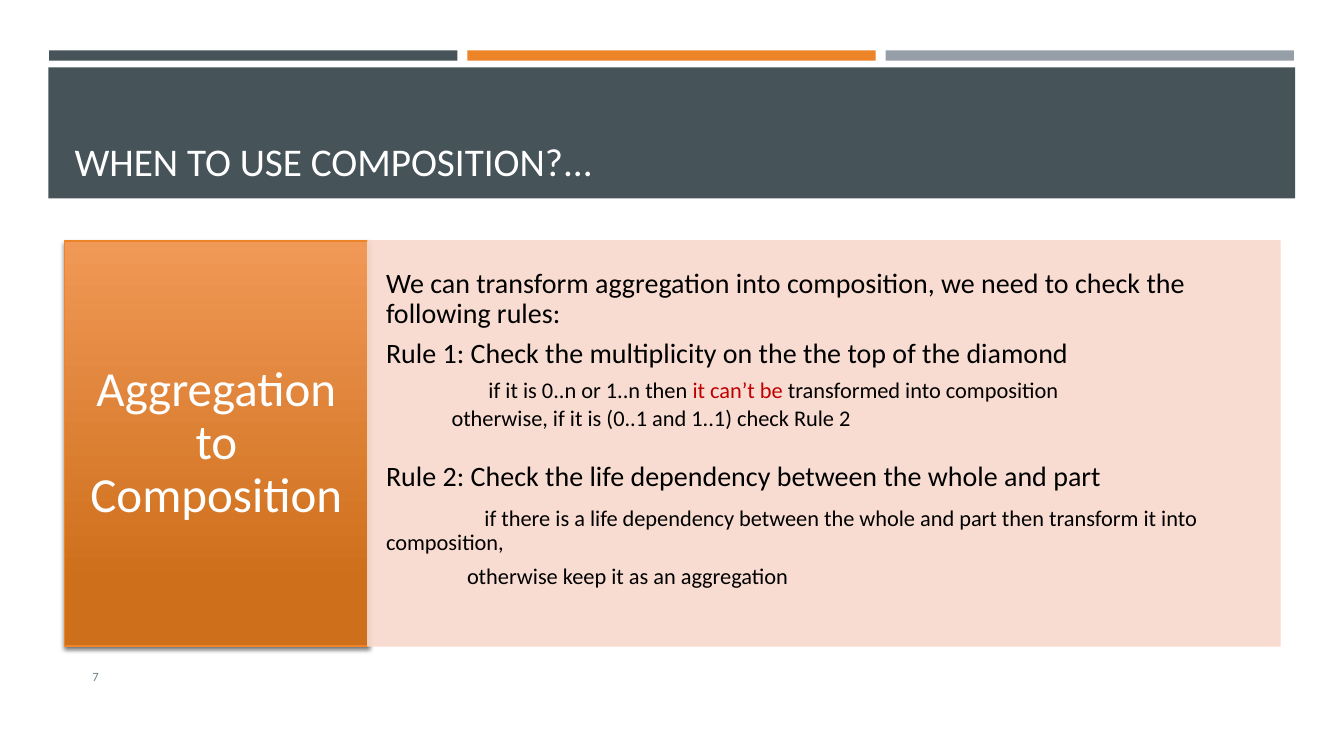
import pptx
import pptx.util
import pptx.dml.color
import pptx.enum.shapes
import pptx.enum.text
import pptx.oxml
import pptx.oxml.ns
import lxml.etree

Cm = pptx.util.Cm
Pt = pptx.util.Pt
ANCHOR = pptx.enum.text.MSO_ANCHOR
ALIGN = pptx.enum.text.PP_ALIGN
COLORS = {
    "slate": "465359", "orange": "ED8428", "gray": "969FA7",
    "light_orange": "F09856", "dark_orange": "CE6F1B", "peach": "F8D9CD",
    "number": "6D818A", "red": "C00000", "white": "FFFFFF", "black": "000000",
}


def color(name):
    return pptx.dml.color.RGBColor.from_string(COLORS[name])


def add_panel(left, top, width, height, fill, margins=(0.25, 0.13, 0.25, 0.13), anchor=ANCHOR.MIDDLE):
    panel = slide.shapes.add_shape(
        pptx.enum.shapes.MSO_SHAPE.RECTANGLE, Cm(left), Cm(top), Cm(width), Cm(height))
    panel.shadow.inherit = False
    panel.fill.solid()
    panel.fill.fore_color.rgb = color(fill)
    panel.line.fill.background()
    frame = panel.text_frame
    frame.word_wrap = True
    frame.vertical_anchor = anchor
    frame.margin_left, frame.margin_top, frame.margin_right, frame.margin_bottom = map(Cm, margins)
    return panel


def write(paragraph, pieces, size, align=ALIGN.LEFT):
    paragraph.alignment = align
    for words, ink in pieces:
        run = paragraph.add_run()
        run.text = words
        run.font.name = "Calibri"
        run.font.size = Pt(size)
        run.font.color.rgb = color(ink)


deck = pptx.Presentation()
deck.slide_width = Cm(33.87)
deck.slide_height = Cm(19.05)
slide = deck.slides.add_slide(deck.slide_layouts[6])

for column, accent in enumerate(("slate", "orange", "gray")):
    add_panel(1.24 + 10.54 * column, 1.27, 10.29, 0.26, accent)

title = add_panel(1.22, 1.7, 31.42, 3.3, "slate", (0.66, 0.13, 0.66, 0.36), ANCHOR.BOTTOM)
write(title.text_frame.paragraphs[0], [("WHEN TO USE COMPOSITION?...", "white")], 28)

number = slide.shapes.add_textbox(Cm(2.08), Cm(16.54), Cm(1.88), Cm(1.02))
number.text_frame.word_wrap = True
number.text_frame.vertical_anchor = ANCHOR.MIDDLE
number.text_frame.paragraphs[0].space_after = Pt(6)
write(number.text_frame.paragraphs[0], [("7", "number")], 9)

topic = add_panel(1.62, 6.07, 7.67, 10.21, "orange", (0.53, 0.69, 0.53, 0.69))
topic.fill.gradient()
topic.fill.gradient_angle = 270
for stop, (position, shade) in zip(
        topic.fill.gradient_stops, ((0, "light_orange"), (0.84, "dark_orange"))):
    stop.position = position
    stop.color.rgb = color(shade)
topic.line.color.rgb = color("orange")
topic.line.width = Pt(1)
effects = topic._element.spPr.find(pptx.oxml.ns.qn("a:effectLst"))
effects.append(pptx.oxml.parse_xml(
    f'<a:outerShdw {pptx.oxml.ns.nsdecls("a")} blurRad="{Pt(3)}" dist="{Pt(2)}" dir="5400000" '
    f'rotWithShape="0"><a:srgbClr val="{COLORS["black"]}"><a:alpha val="55000"/></a:srgbClr>'
    '</a:outerShdw>'))
heading = topic.text_frame.paragraphs[0]
heading.line_spacing = 0.9
write(heading, [("Aggregation to Composition", "white")], 35, ALIGN.CENTER)

rules = add_panel(9.27, 6.07, 22.99, 10.21, "peach", (0.46, 0.71, 0.46, 0.71), ANCHOR.TOP)
rules.line.color.rgb = color("peach")
rules.line.width = Pt(1)
for tint in rules._element.spPr.iter(pptx.oxml.ns.qn("a:srgbClr")):
    lxml.etree.SubElement(tint, pptx.oxml.ns.qn("a:alpha"), val="90000")

RULE_LINES = [
    (20, 0, 7, [("We can transform aggregation into composition, we need to check the following rules:", "black")]),
    (20, 0, 7, [("Rule 1: Check the multiplicity on the the top of the diamond", "black")]),
    (16, 2.58, 2.4, [("if it is 0..n or 1..n then ", "black"), ("it can’t be ", "red"),
                     ("transformed into composition", "black")]),
    (16, 1.65, 22.4, [("otherwise, if it is (0..1 and 1..1) check Rule 2", "black")]),
    (20, 0, 10.5, [("Rule 2: Check the life dependency between the whole and part", "black")]),
    (16, 2.48, 7, [("if there is a life dependency between the whole and part then transform it into composition,", "black")]),
    (16, 2.04, 0, [("otherwise keep it as an aggregation", "black")]),
]
for index, (size, indent, gap, pieces) in enumerate(RULE_LINES):
    line = rules.text_frame.add_paragraph() if index else rules.text_frame.paragraphs[0]
    line.line_spacing = 0.9
    line.space_after = Pt(gap)
    write(line, pieces, size)
    line._p.get_or_add_pPr().set("indent", str(Cm(indent)))

deck.save("out.pptx")
